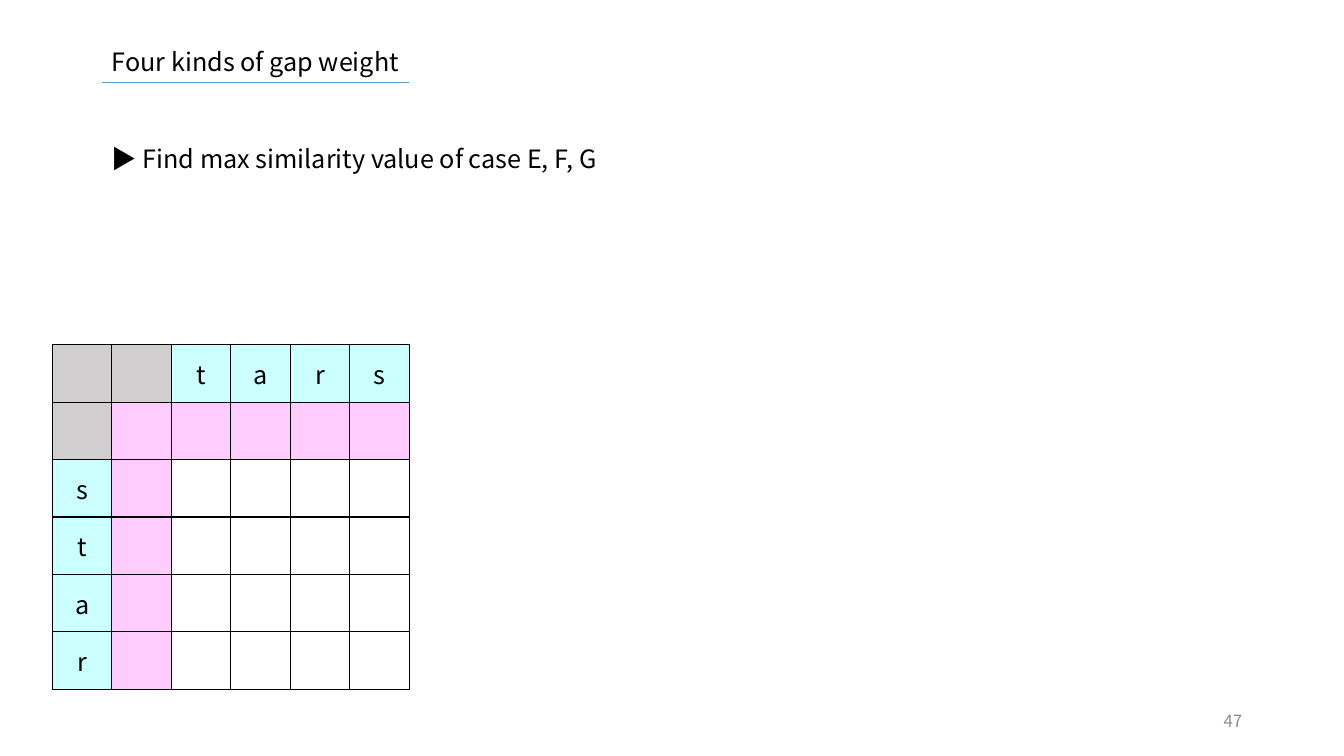
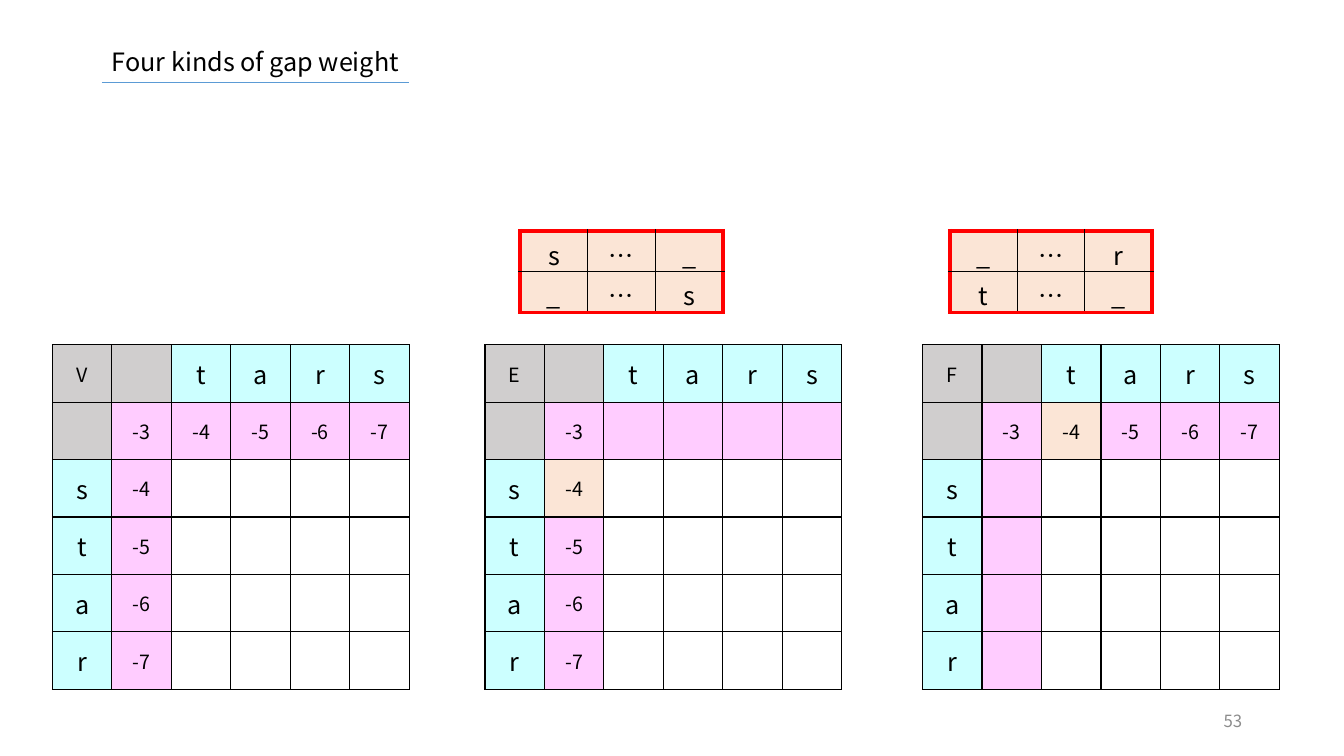
from lxml import etree
from pptx import Presentation
from pptx.dml.color import RGBColor
from pptx.enum import shapes, text
from pptx.oxml import ns
from pptx.util import Inches, Pt

FONT = "Noto Sans CJK KR"
BLACK = RGBColor(0x00, 0x00, 0x00)
WHITE = RGBColor(0xFF, 0xFF, 0xFF)
RED = RGBColor(0xFF, 0x00, 0x00)
BLUE = RGBColor(0x5B, 0x9B, 0xD5)
PAGE_GREY = RGBColor(0x8C, 0x8C, 0x8C)
CORNER_GREY = RGBColor(0xD0, 0xCE, 0xCE)
CYAN = RGBColor(0xCC, 0xFF, 0xFF)
PINK = RGBColor(0xFF, 0xCC, 0xFF)
PEACH = RGBColor(0xFB, 0xE5, 0xD6)

TITLE = "Four kinds of gap weight"
ACROSS, DOWN = "tars", "star"
GAP_WEIGHTS = ["-4", "-5", "-6", "-7"]
NO_WEIGHTS = [""] * 4
MATRIX_TOP, MATRIX_CELL = 3.42, (0.59, 0.57)
PAIR_TOP, PAIR_CELL = 2.29, (0.67, 0.405)


# Text
def write(tf, content, size=18, color=BLACK, align=text.PP_ALIGN.LEFT):
    p = tf.paragraphs[0]
    p.text = content
    p.alignment = align
    p.font.name = FONT
    p.font.size = Pt(size)
    p.font.color.rgb = color
    # East Asian typeface, used by symbols such as the ellipsis
    for props in p._p.iter(ns.qn("a:defRPr")):
        latin = props.find(ns.qn("a:latin"))
        ea = etree.Element(ns.qn("a:ea"), typeface=FONT)
        latin.addnext(ea)


def add_text(s, content, left, top, width, **style):
    box = s.shapes.add_textbox(Inches(left), Inches(top), Inches(width), Inches(0.4))
    tf = box.text_frame
    tf.word_wrap = True
    write(tf, content, **style)
    return tf


# Title, rule and page number shared by the slides
def add_slide(prs, number):
    s = prs.slides.add_slide(prs.slide_layouts[5])
    title = s.shapes.title
    title.left, title.top = Inches(1.01), Inches(0.41)
    title.width, title.height = Inches(7.34), Inches(0.4)
    tf = title.text_frame
    tf.vertical_anchor = text.MSO_ANCHOR.TOP
    tf.auto_size = text.MSO_AUTO_SIZE.SHAPE_TO_FIT_TEXT
    write(tf, TITLE)

    rule = s.shapes.add_connector(shapes.MSO_CONNECTOR.STRAIGHT, Inches(1.01),
                                  Inches(0.82), Inches(4.06), Inches(0.82))
    rule.line.color.rgb = BLUE
    rule.line.width = Pt(0.5)
    etree.SubElement(rule._element.spPr, ns.qn("a:effectLst"))

    tf = add_text(s, number, 9.42, 6.95, 3, size=12, color=PAGE_GREY,
                  align=text.PP_ALIGN.RIGHT)
    tf.vertical_anchor = text.MSO_ANCHOR.MIDDLE
    return s


# Tables
def add_border(cell, side, color, width):
    tcPr = cell._tc.get_or_add_tcPr()
    ln = etree.SubElement(tcPr, ns.qn(f"a:ln{side}"), w=str(Pt(width)))
    fill = etree.SubElement(ln, ns.qn("a:solidFill"))
    etree.SubElement(fill, ns.qn("a:srgbClr"), val=str(color))


def add_grid(s, left, top, rows, cell_size, style_cell, outline=(BLACK, 1)):
    """Draw rows of text; style_cell(row, col) gives a cell's fill and text size."""
    n_rows, n_cols = len(rows), len(rows[0])
    width, height = cell_size
    table = s.shapes.add_table(n_rows, n_cols, Inches(left), Inches(top),
                               Inches(width * n_cols), Inches(height * n_rows)).table
    table.first_row = table.horz_banding = False
    for column in table.columns:
        column.width = Inches(width)
    for r, row in enumerate(rows):
        table.rows[r].height = Inches(height)
        for c, content in enumerate(row):
            cell = table.cell(r, c)
            outer = {"L": c == 0, "R": c == n_cols - 1,
                     "T": r == 0, "B": r == n_rows - 1}
            for side, is_outer in outer.items():
                add_border(cell, side, *(outline if is_outer else (BLACK, 1)))
            fill, size = style_cell(r, c)
            cell.fill.solid()
            cell.fill.fore_color.rgb = fill
            cell.vertical_anchor = text.MSO_ANCHOR.MIDDLE
            if content:
                write(cell.text_frame, content, size, align=text.PP_ALIGN.CENTER)
    return table


def add_matrix(s, left, name="", start="", top_weights=NO_WEIGHTS,
               side_weights=NO_WEIGHTS, highlight=None):
    rows = [[name, "", *ACROSS], ["", start, *top_weights]]
    rows += [[letter, weight] + [""] * 4 for letter, weight in zip(DOWN, side_weights)]

    def style_cell(r, c):
        if (r, c) == highlight:
            return PEACH, 14
        if r + c < 2 and (r, c) != (1, 1):
            return CORNER_GREY, 14
        if r == 0 or c == 0:
            return CYAN, 18
        return (PINK if r == 1 or c == 1 else WHITE), 14

    table = add_grid(s, left, MATRIX_TOP, rows, MATRIX_CELL, style_cell)
    for cell in table.iter_cells():
        cell.margin_left = cell.margin_right = Inches(0.07)
        cell.margin_top = cell.margin_bottom = Inches(0.04)


def add_alignment(s, left, rows):
    add_grid(s, left, PAIR_TOP, rows, PAIR_CELL, lambda r, c: (PEACH, 18), (RED, 3))


def main():
    prs = Presentation()
    prs.slide_width, prs.slide_height = Inches(13.33), Inches(7.5)

    # Empty matrix
    s = add_slide(prs, "47")
    add_text(s, "▶ Find max similarity value of case E, F, G", 1.01, 1.37, 10.71)
    add_matrix(s, 0.52)

    # Initial values of V, E and F
    s = add_slide(prs, "53")
    add_matrix(s, 0.52, "V", "-3", GAP_WEIGHTS, GAP_WEIGHTS)
    add_matrix(s, 4.81, "E", "-3", side_weights=GAP_WEIGHTS, highlight=(2, 1))
    add_matrix(s, 9.15, "F", "-3", top_weights=GAP_WEIGHTS, highlight=(1, 2))
    add_alignment(s, 5.16, ["s…_", "_…s"])
    add_alignment(s, 9.42, ["_…r", "t…_"])

    prs.save("out.pptx")


if __name__ == "__main__":
    main()
